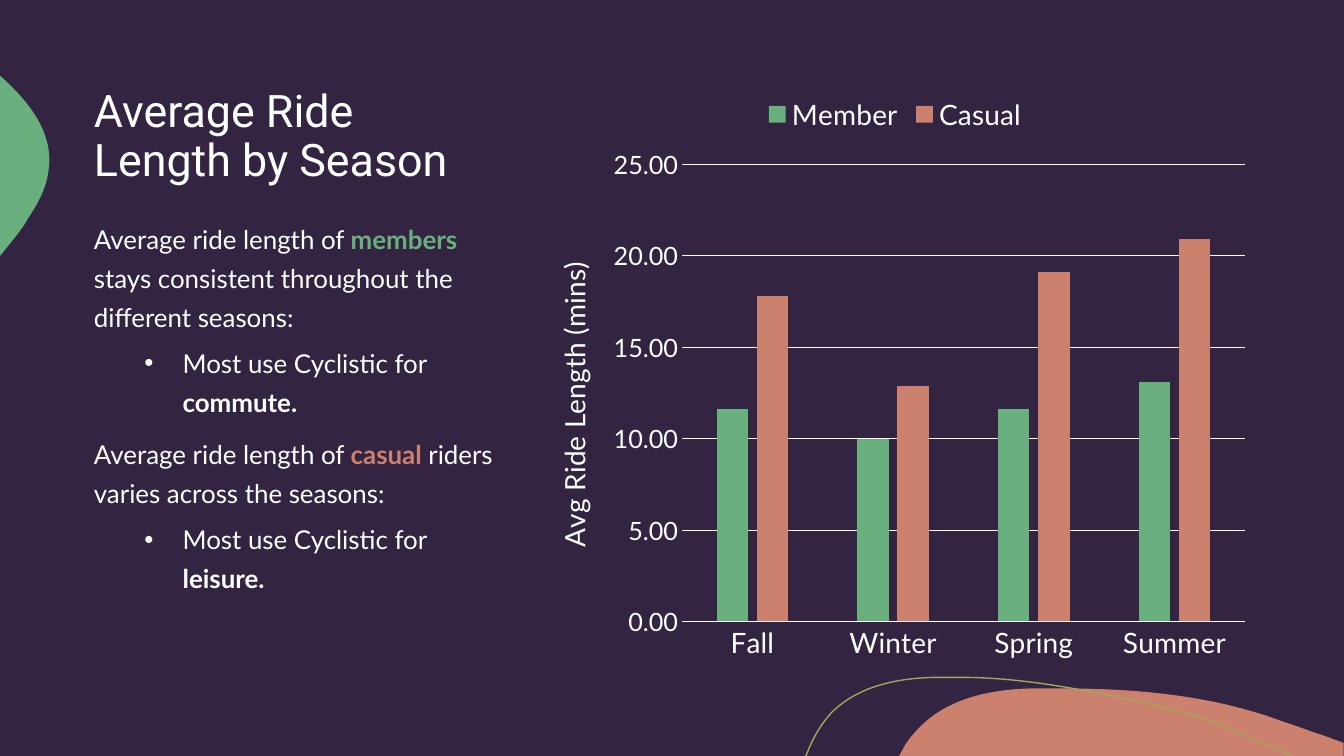
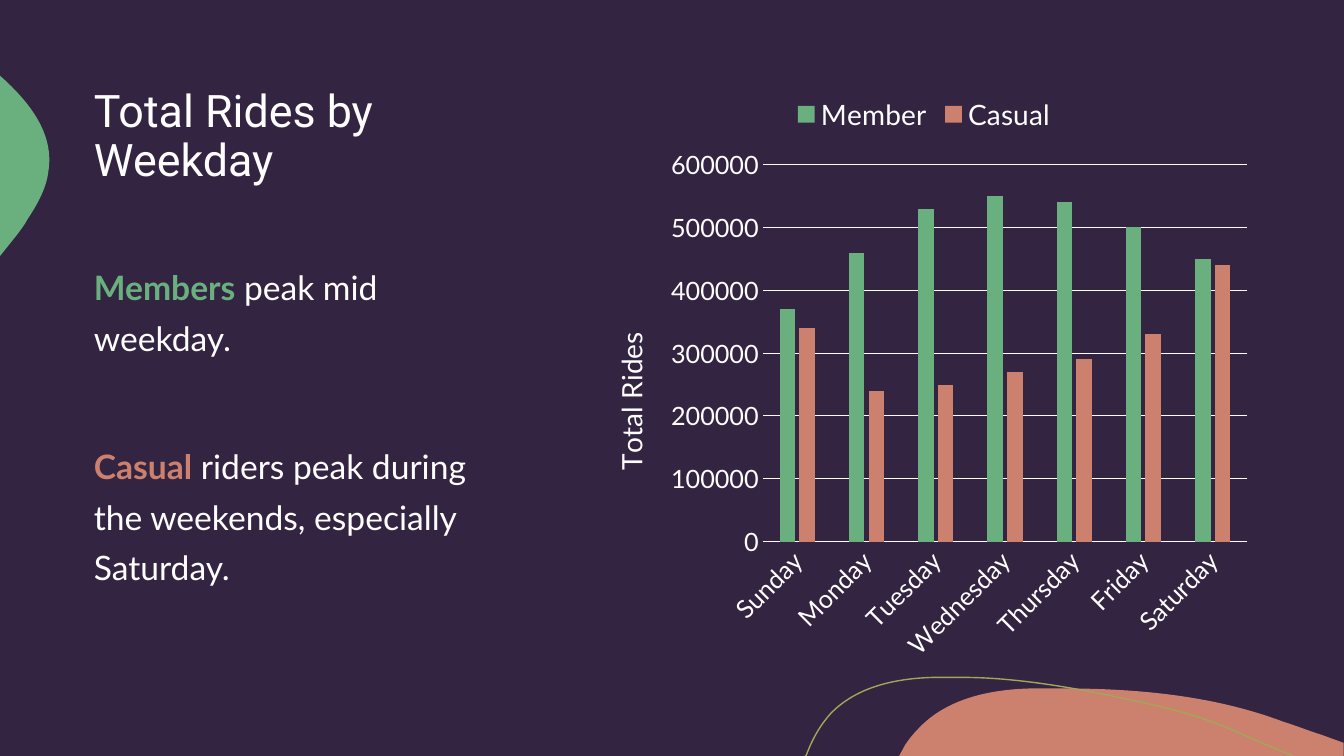
"""Builds two slides that compare member and casual rides on a 16 by 9 grid."""
from dataclasses import dataclass
from typing import Any, NamedTuple, Optional

import lxml.etree
import pptx
import pptx.chart.data
import pptx.dml.color
import pptx.enum.chart
import pptx.enum.text
import pptx.oxml.ns
import pptx.util

CELL = pptx.util.Inches(5 / 6)
COLUMNS, ROWS = 16, 9
NIGHT, WHITE, GREEN, CORAL, OLIVE = "332441", "FFFFFF", "6AB07E", "CB816D", "A3A659"
TITLE_FONT, BODY_FONT, BULLET_FONT = "Roboto", "Lato", "Arial"
qn = pptx.oxml.ns.qn


class Area(NamedTuple):
    left: float
    top: float
    width: float
    height: float


class Span(NamedTuple):
    text: str
    color: str = WHITE
    bold: bool = False


@dataclass(frozen=True)
class Para:
    spans: tuple[Span, ...]
    before: float = 10
    bullet: bool = False


@dataclass(frozen=True)
class Wave:
    start: tuple[float, float]
    segments: tuple[tuple[float, ...], ...]
    fill: Optional[str] = None
    line: Optional[str] = None


@dataclass(frozen=True)
class RideChart:
    area: Area
    plot: Area
    title: str
    title_spot: tuple[float, float]
    categories: tuple[str, ...]
    member: tuple[float, ...]
    casual: tuple[float, ...]
    top: float
    step: float
    number_format: str
    category_size: float
    category_angle: int = 0


@dataclass(frozen=True)
class RidePage:
    title: str
    body_area: Area
    body_size: float
    paras: tuple[Para, ...]
    chart: RideChart


WAVES = (
    Wave((10.54, 6.83), (
        (11.28, 6.83, 12.04, 6.9, 12.73, 7.16), (12.86, 7.2, 12.98, 7.25, 13.11, 7.29),
        (13.33, 7.37), (13.33, 7.5), (8.92, 7.5), (8.98, 7.39),
        (9.02, 7.33, 9.06, 7.28, 9.11, 7.23), (9.39, 6.93, 9.82, 6.84, 10.23, 6.83),
        (10.33, 6.83, 10.43, 6.83, 10.54, 6.83)), fill=CORAL),
    Wave((0, 0.75), (
        (0.01, 0.76), (0.3, 1.02, 0.54, 1.33, 0.48, 1.7),
        (0.46, 1.87, 0.37, 2.03, 0.27, 2.18), (0.24, 2.24, 0.17, 2.33, 0.08, 2.44),
        (0, 2.54)), fill=GREEN),
    Wave((7.99, 7.5), (
        (8, 7.49), (8.06, 7.33, 8.14, 7.19, 8.24, 7.08),
        (8.5, 6.81, 8.89, 6.73, 9.26, 6.72), (9.55, 6.72),
        (10.22, 6.72, 11, 6.89, 11.55, 7.02), (12.09, 7.15, 12.26, 7.27, 12.83, 7.5)),
        line=OLIVE),
)

PAGES = (
    RidePage(
        "Average Ride Length by Season", Area(1, 2.51, 5, 5.48), 18.5,
        (
            Para((Span("Average ride length of "), Span("members", GREEN, True),
                  Span(" stays consistent throughout the different seasons:"))),
            Para((Span("Most use Cyclistic for "), Span("commute.", bold=True)), 5, True),
            Para((Span("Average ride length of "), Span("casual", CORAL, True),
                  Span(" riders varies across the seasons:"))),
            Para((Span("Most use Cyclistic for "), Span("leisure.", bold=True)), 5, True),
        ),
        RideChart(
            Area(6.31, 1, 8.69, 7), Area(8.12, 1.96, 6.7, 5.44),
            "Avg Ride Length (mins)", (6.53, 3.06),
            ("Fall", "Winter", "Spring", "Summer"),
            (11.6, 10, 11.6, 13.1), (17.8, 12.9, 19.1, 20.9),
            25, 5, "0.00", 20),
    ),
    RidePage(
        "Total Rides by Weekday", Area(1, 3, 5, 5), 24,
        (
            Para((Span("Members", GREEN, True), Span(" peak mid weekday."))),
            Para((Span("Casual", CORAL, True),
                  Span(" riders peak during the weekends, especially Saturday.")), 56),
        ),
        RideChart(
            Area(7, 1, 8, 7), Area(9.08, 1.96, 5.77, 4.49),
            "Total Rides", (7.21, 3.89),
            ("Sunday", "Monday", "Tuesday", "Wednesday", "Thursday", "Friday", "Saturday"),
            (370000, 460000, 530000, 550000, 540000, 500000, 450000),
            (340000, 240000, 250000, 270000, 290000, 330000, 440000),
            600000, 100000, "0", 18, -45),
    ),
)


def rgb(color: str) -> pptx.dml.color.RGBColor:
    return pptx.dml.color.RGBColor.from_string(color)


def cells(area: Area) -> tuple[int, ...]:
    return tuple(round(length * CELL) for length in area)


def style_font(font: Any, name: str, size: float, color: str = WHITE, bold: bool = False) -> None:
    font.name, font.size, font.bold = name, pptx.util.Pt(size), bold
    font.color.rgb = rgb(color)


def style_line(line: Any, color: str, width: float) -> None:
    line.color.rgb = rgb(color)
    line.width = pptx.util.Pt(width)


def bend(shape: Any, wave: Wave) -> None:
    sides = list(shape.element.iter(qn("a:lnTo")))
    for side, segment in zip(sides, wave.segments):
        if len(segment) == 2:
            continue
        curve = lxml.etree.Element(qn("a:cubicBezTo"))
        for x, y in zip(segment[::2], segment[1::2]):
            point = lxml.etree.SubElement(curve, qn("a:pt"))
            point.set("x", str(pptx.util.Inches(x) - shape.left))
            point.set("y", str(pptx.util.Inches(y) - shape.top))
        side.getparent().replace(side, curve)


def draw_wave(page: Any, wave: Wave) -> None:
    start, *ends = [(pptx.util.Inches(x), pptx.util.Inches(y))
                    for x, y in (wave.start, *(part[-2:] for part in wave.segments))]
    builder = page.shapes.build_freeform(*start)
    builder.add_line_segments(ends, close=wave.fill is not None)
    shape = builder.convert_to_shape()
    bend(shape, wave)
    shape.shadow.inherit = False
    if wave.fill:
        shape.fill.solid()
        shape.fill.fore_color.rgb = rgb(wave.fill)
    else:
        shape.fill.background()
    if wave.line:
        style_line(shape.line, wave.line, 1)
    else:
        shape.line.fill.background()


def add_bullet(paragraph: Any) -> None:
    properties = paragraph._p.get_or_add_pPr()
    properties.set("lvl", "1")
    properties.set("marL", str(pptx.util.Inches(0.88)))
    properties.set("indent", str(pptx.util.Inches(-0.38)))
    lxml.etree.SubElement(properties, qn("a:buFont")).set("typeface", BULLET_FONT)
    lxml.etree.SubElement(properties, qn("a:buChar")).set("char", "•")


def draw_text(page: Any, area: Area, paras: tuple[Para, ...], font: str, size: float,
              spacing: float) -> None:
    frame = page.shapes.add_textbox(*cells(area)).text_frame
    frame.word_wrap = True
    frame.vertical_anchor = pptx.enum.text.MSO_ANCHOR.TOP
    for index, para in enumerate(paras):
        paragraph = frame.add_paragraph() if index else frame.paragraphs[0]
        paragraph.line_spacing = spacing
        paragraph.space_before = pptx.util.Pt(para.before)
        if para.bullet:
            add_bullet(paragraph)
        for span in para.spans:
            run = paragraph.add_run()
            run.text = span.text
            style_font(run.font, font, size, span.color, span.bold)


def set_layout(parent: Any, index: int, values: dict[str, Any]) -> None:
    for old in parent.findall(qn("c:layout")):
        parent.remove(old)
    layout = lxml.etree.Element(qn("c:layout"))
    manual = lxml.etree.SubElement(layout, qn("c:manualLayout"))
    for name, value in values.items():
        lxml.etree.SubElement(manual, qn(f"c:{name}")).set("val", str(value))
    parent.insert(index, layout)


def place_parts(chart: Any, ride: RideChart) -> None:
    area, plot = ride.area, ride.plot

    def share(left: float, top: float) -> dict[str, Any]:
        return {"xMode": "edge", "yMode": "edge",
                "x": (left - area.left) / area.width, "y": (top - area.top) / area.height}

    root = chart.element
    set_layout(root.find(f".//{qn('c:plotArea')}"), 0, {
        "layoutTarget": "inner", **share(plot.left, plot.top),
        "w": plot.width / area.width, "h": plot.height / area.height})
    title = root.find(f".//{qn('c:valAx')}/{qn('c:title')}")
    set_layout(title, 1, share(*ride.title_spot))
    labels = root.find(f".//{qn('c:catAx')}/{qn('c:txPr')}")
    for owner, angle in ((title, -90), (labels, ride.category_angle)):
        body = owner.find(f".//{qn('a:bodyPr')}")
        body.set("rot", str(angle * 60000))
        body.set("vert", "horz")


def draw_chart(page: Any, ride: RideChart) -> None:
    data = pptx.chart.data.CategoryChartData(number_format=ride.number_format)
    data.categories = ride.categories
    data.add_series("Member", ride.member)
    data.add_series("Casual", ride.casual)
    kind = pptx.enum.chart.XL_CHART_TYPE.COLUMN_CLUSTERED
    chart = page.shapes.add_chart(kind, *cells(ride.area), data).chart
    style_font(chart.font, BODY_FONT, 10)
    chart.has_title = False
    chart.has_legend = True
    chart.legend.position = pptx.enum.chart.XL_LEGEND_POSITION.TOP
    chart.legend.include_in_layout = False
    style_font(chart.legend.font, BODY_FONT, 20)

    bars = chart.plots[0]
    bars.gap_width, bars.overlap, bars.vary_by_categories = 219, -27, False
    for series, color in zip(bars.series, (GREEN, CORAL)):
        series.format.fill.solid()
        series.format.fill.fore_color.rgb = rgb(color)

    names, amounts = chart.category_axis, chart.value_axis
    for axis, size in ((names, ride.category_size), (amounts, 18)):
        axis.major_tick_mark = axis.minor_tick_mark = pptx.enum.chart.XL_TICK_MARK.NONE
        style_font(axis.tick_labels.font, BODY_FONT, size)
    style_line(names.format.line, WHITE, 0.75)
    amounts.format.line.fill.background()
    style_line(amounts.major_gridlines.format.line, WHITE, 0.75)
    amounts.minimum_scale, amounts.maximum_scale = 0, ride.top
    amounts.major_unit = ride.step
    amounts.tick_labels.number_format = ride.number_format
    amounts.tick_labels.number_format_is_linked = False
    run = amounts.axis_title.text_frame.paragraphs[0].add_run()
    run.text = ride.title
    style_font(run.font, BODY_FONT, 20)
    place_parts(chart, ride)


def draw_page(deck: Any, ride_page: RidePage) -> None:
    page = deck.slides.add_slide(deck.slide_layouts[6])
    for wave in WAVES:
        draw_wave(page, wave)
    heading = (Para((Span(ride_page.title),), 0),)
    draw_text(page, Area(1, 1, 5, 2), heading, TITLE_FONT, 32, 0.9)
    draw_text(page, ride_page.body_area, ride_page.paras, BODY_FONT, ride_page.body_size, 1.25)
    draw_chart(page, ride_page.chart)


def main() -> None:
    deck = pptx.Presentation()
    deck.slide_width, deck.slide_height = COLUMNS * CELL, ROWS * CELL
    backdrop = deck.slide_master.background.fill
    backdrop.solid()
    backdrop.fore_color.rgb = rgb(NIGHT)
    for ride_page in PAGES:
        draw_page(deck, ride_page)
    deck.save("out.pptx")


if __name__ == "__main__":
    main()
